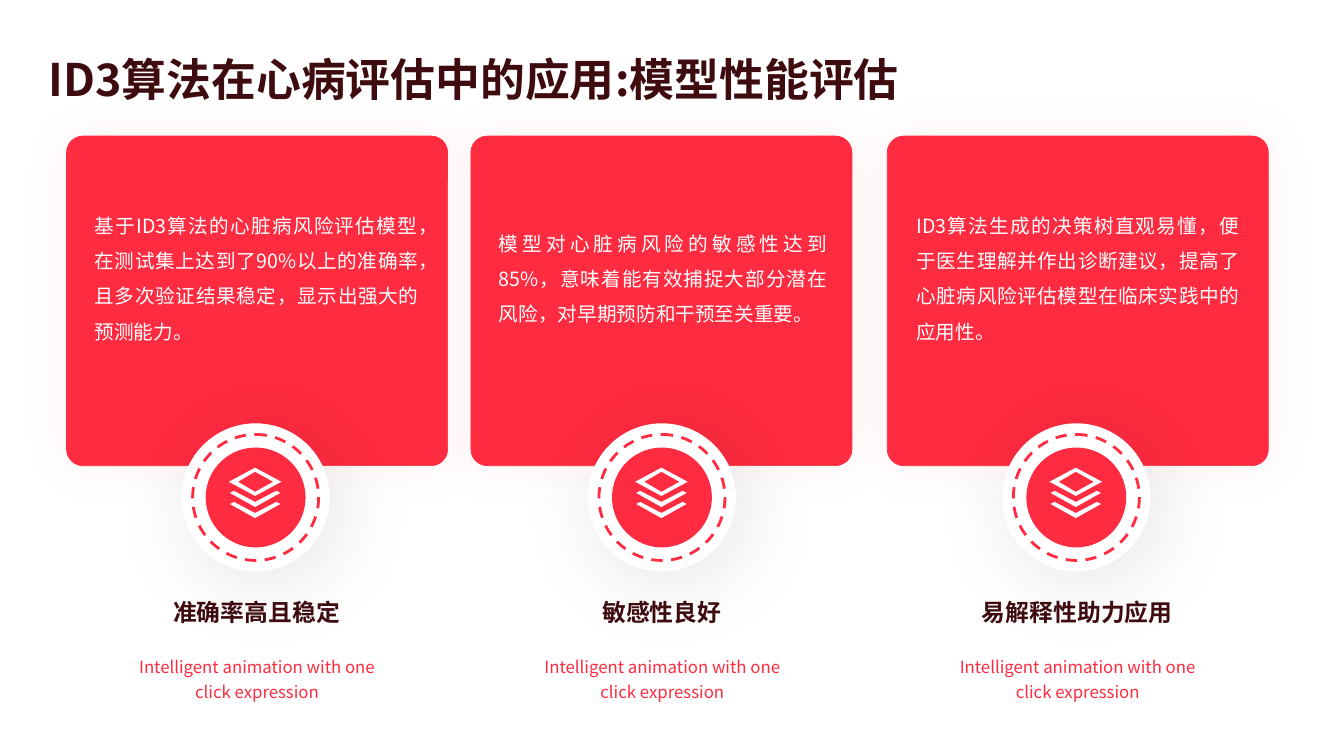
from dataclasses import dataclass
from typing import Optional

from lxml.etree import SubElement
from pptx import Presentation
from pptx.dml.color import RGBColor
from pptx.enum.dml import MSO_LINE
from pptx.enum.lang import MSO_LANGUAGE_ID as Language
from pptx.enum.shapes import MSO_SHAPE as Preset
from pptx.enum.text import MSO_ANCHOR as Anchor
from pptx.enum.text import MSO_AUTO_SIZE as AutoSize
from pptx.enum.text import PP_ALIGN as Align
from pptx.oxml.ns import qn
from pptx.util import Emu, Pt

EMU_PER_PX = 9144  # 100 px to the inch


@dataclass(frozen=True)
class Theme:
    font: str = "Noto Sans CJK SC"
    red: str = "FF2B40"
    dark: str = "3E0B0E"
    white: str = "FFFFFF"
    black: str = "000000"
    title_size: int = 32
    heading_size: int = 17
    body_size: int = 14
    caption_size: int = 12


THEME = Theme()


@dataclass(frozen=True)
class TextStyle:
    size: int
    color: str
    bold: bool = False
    align: Align = Align.CENTER
    anchor: Anchor = Anchor.MIDDLE
    line_spacing: Optional[float] = None
    paragraph_gap: int = 0


@dataclass(frozen=True)
class Shadow:
    """Blur and distance are in points, opacity in percent, angle in degrees."""
    color: str
    opacity: int
    blur: int
    distance: int
    angle: int


@dataclass(frozen=True)
class Column:
    card_left: int
    body_left: int
    body_width: int
    badge_left: int
    label_left: int
    heading: str
    body: str


TITLE = TextStyle(THEME.title_size, THEME.dark, bold=True, align=Align.LEFT, line_spacing=1.2)
HEADING = TextStyle(THEME.heading_size, THEME.dark, bold=True)
BODY = TextStyle(THEME.body_size, THEME.white, align=Align.JUSTIFY, line_spacing=1.5, paragraph_gap=3)
CAPTION = TextStyle(THEME.caption_size, THEME.red, anchor=Anchor.TOP, line_spacing=1.2)

CARD_SHADOW = Shadow(THEME.red, 6, 35, 0, 95)
BADGE_SHADOW = Shadow(THEME.black, 10, 60, 9, 45)

CAPTION_TEXT = "Intelligent animation with one click expression"
COLUMNS = [
    Column(66, 84, 341, 180, 117, "准确率高且稳定",
           "基于ID3算法的心脏病风险评估模型，在测试集上达到了90%以上的准确率，"
           "且多次验证结果稳定，显示出强大的预测能力。"),
    Column(467, 485, 345, 583, 519, "敏感性良好",
           "模型对心脏病风险的敏感性达到85%，意味着能有效捕捉大部分潜在风险，"
           "对早期预防和干预至关重要。"),
    Column(880, 899, 340, 994, 931, "易解释性助力应用",
           "ID3算法生成的决策树直观易懂，便于医生理解并作出诊断建议，"
           "提高了心脏病风险评估模型在临床实践中的应用性。"),
]

BADGE_TOP, BADGE_SIZE = 420, 147
CHEVRON = [(47, 23), (51, 25), (26, 39), (1, 25), (5, 23), (26, 34)]
LAYERS = [
    [(x, y + 11) for x, y in CHEVRON],
    CHEVRON,
    [(26, 0), (52, 14), (26, 28), (0, 14)],
    [(26, 4), (9, 14), (26, 24), (44, 14)],
]


def px(length: int) -> Emu:
    return Emu(length * EMU_PER_PX)


def rgb(color: str) -> RGBColor:
    return RGBColor.from_string(color)


def write_text(shape, text: str, style: TextStyle) -> None:
    frame = shape.text_frame
    frame.word_wrap = True
    frame.auto_size = AutoSize.NONE
    frame.vertical_anchor = style.anchor
    paragraph = frame.paragraphs[0]
    paragraph.alignment = style.align
    paragraph.space_before = paragraph.space_after = Pt(style.paragraph_gap)
    if style.line_spacing:
        paragraph.line_spacing = style.line_spacing
    run = paragraph.add_run()
    run.text = text
    font = run.font
    font.size, font.bold, font.name = Pt(style.size), style.bold, THEME.font
    font.color.rgb = rgb(style.color)
    font.language_id = Language.SIMPLIFIED_CHINESE
    SubElement(run._r.rPr, qn("a:ea"), typeface=THEME.font)


def add_text(slide, left: int, top: int, width: int, height: int, text: str, style: TextStyle):
    box = slide.shapes.add_textbox(px(left), px(top), px(width), px(height))
    write_text(box, text, style)
    return box


def paint(shape, fill: str, line: Optional[str] = None, line_width: float = 0,
          shadow: Optional[Shadow] = None) -> None:
    shape.fill.solid()
    shape.fill.fore_color.rgb = rgb(fill)
    if line:
        shape.line.color.rgb = rgb(line)
        shape.line.width = Pt(line_width)
    else:
        shape.line.fill.background()
    shape.shadow.inherit = False
    if shadow:
        effects = shape._element.spPr.find(qn("a:effectLst"))
        outer = SubElement(effects, qn("a:outerShdw"), blurRad=str(Pt(shadow.blur)),
                           dist=str(Pt(shadow.distance)), dir=str(shadow.angle * 60000),
                           algn="ctr", rotWithShape="0")
        color = SubElement(outer, qn("a:srgbClr"), val=shadow.color)
        SubElement(color, qn("a:alpha"), val=str(shadow.opacity * 1000))


def add_card(slide, left: int) -> None:
    card = slide.shapes.add_shape(Preset.ROUNDED_RECTANGLE, px(left), px(135), px(378), px(327))
    card.adjustments[0] = 0.05
    paint(card, THEME.red, THEME.red, 0.5, CARD_SHADOW)


def add_badge(slide, left: int) -> None:
    """Draws the white disc, dashed ring, red disc and layers icon as one group."""
    shapes = slide.shapes.add_group_shape().shapes

    def add_disc(inset: int):
        size = px(BADGE_SIZE - 2 * inset)
        return shapes.add_shape(Preset.OVAL, px(left + inset), px(BADGE_TOP + inset), size, size)

    paint(add_disc(0), THEME.white, shadow=BADGE_SHADOW)
    ring = add_disc(11)
    ring.rotation = 90  # the dashes start at the top
    paint(ring, THEME.white, THEME.red, 2)
    ring.line.dash_style = MSO_LINE.DASH
    paint(add_disc(24), THEME.red)

    builder = shapes.build_freeform(*LAYERS[0][0], scale=EMU_PER_PX)
    for index, outline in enumerate(LAYERS):
        if index:
            builder.move_to(*outline[0])
        builder.add_line_segments(outline[1:], close=True)
    paint(builder.convert_to_shape(px(left + 47), px(BADGE_TOP + 44)), THEME.white)


def main() -> None:
    presentation = Presentation()
    presentation.slide_width, presentation.slide_height = px(1333), px(750)
    slide = presentation.slides.add_slide(presentation.slide_layouts[5])

    title = slide.shapes.title
    title.left, title.top, title.width, title.height = px(38), px(33), px(1257), px(79)
    write_text(title, "ID3算法在心病评估中的应用:模型性能评估", TITLE)

    for column in COLUMNS:
        add_card(slide, column.card_left)
        add_text(slide, column.body_left, 152, column.body_width, 237, column.body, BODY)
        add_badge(slide, column.badge_left)
        add_text(slide, column.label_left, 588, 275, 39, column.heading, HEADING)
        caption = add_text(slide, column.label_left + 10, 644, 256, 84, CAPTION_TEXT, CAPTION)
        caption.text_frame.margin_top = caption.text_frame.margin_bottom = px(4)

    presentation.save("out.pptx")


if __name__ == "__main__":
    main()
